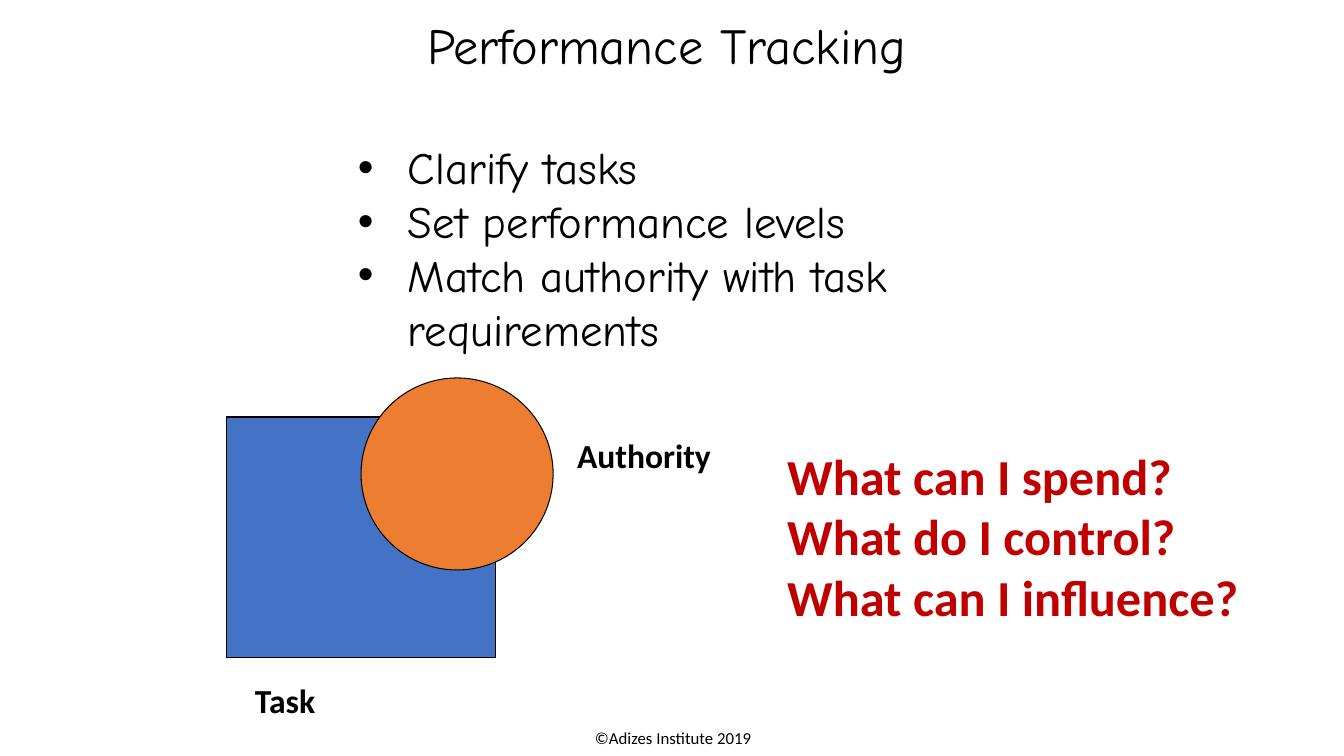
from lxml import etree
from pptx import Presentation, util as u
from pptx.dml.color import RGBColor
from pptx.enum import shapes, text
from pptx.oxml import ns

COLORS = {"black": "000000", "task": "4472C4", "authority": "ED7D31", "question": "C00000"}
PX = 914400 / 100.8
HANGING = 50

TITLE = (["Performance Tracking"], (417, 9, 544, 71))
STEPS = (["Clarify tasks", "Set performance levels",
          "Match authority with task requirements"], (348, 135, 786, 228))
QUESTIONS = (["What can I spend?", "What do I control?",
              "What can I influence?"], (777, 440, 543, 194))
FOOTER = (["©Adizes Institute 2019"], (449, 724, 448, 30))
LABELS = [(["Task"], (245, 675, 95, 50)), (["Authority"], (567, 430, 171, 50))]
FIGURES = [
    (shapes.MSO_SHAPE.RECTANGLE, (226, 417, 269, 241), "task"),
    (shapes.MSO_SHAPE.OVAL, (361, 378, 192, 192), "authority"),
]


def px(value):
    return u.Emu(round(value * PX))


def color(name):
    return RGBColor.from_string(COLORS[name])


def add_bullet(paragraph):
    properties = paragraph._p.get_or_add_pPr()
    properties.set("marL", str(px(HANGING)))
    properties.set("indent", str(-px(HANGING)))
    etree.SubElement(properties, ns.qn("a:buFont")).set("typeface", "Arial")
    etree.SubElement(properties, ns.qn("a:buChar")).set("char", "•")


def add_text(slide, lines, box, size, font="Calibri", bold=False, fill="black",
             align=text.PP_ALIGN.LEFT, bullet=False, spacing=None):
    frame = slide.shapes.add_textbox(*map(px, box)).text_frame
    frame.word_wrap = True
    for index, line in enumerate(lines):
        paragraph = frame.paragraphs[0] if index == 0 else frame.add_paragraph()
        paragraph.alignment = align
        if spacing:
            paragraph.line_spacing = spacing
        if bullet:
            add_bullet(paragraph)
        run = paragraph.add_run()
        run.text = line
        run.font.name = font
        run.font.size = u.Pt(size)
        run.font.bold = bold
        run.font.color.rgb = color(fill)
    return frame


def add_figure(slide, kind, box, fill):
    shape = slide.shapes.add_shape(kind, *map(px, box))
    shape.shadow.inherit = False
    shape.fill.solid()
    shape.fill.fore_color.rgb = color(fill)
    shape.line.color.rgb = color("black")
    shape.line.width = u.Pt(0.75)


def main():
    presentation = Presentation()
    presentation.slide_width = u.Inches(13.33)
    presentation.slide_height = u.Inches(7.5)
    slide = presentation.slides.add_slide(presentation.slide_layouts[6])

    footer = add_text(slide, *FOOTER, size=12, align=text.PP_ALIGN.CENTER, spacing=0.93)
    footer.margin_top = px(6)
    for figure in FIGURES:
        add_figure(slide, *figure)
    for label in LABELS:
        add_text(slide, *label, size=24, bold=True)
    add_text(slide, *QUESTIONS, size=36, bold=True, fill="question")
    add_text(slide, *TITLE, size=36, font="Comic Neue")
    add_text(slide, *STEPS, size=32, font="Comic Neue", bullet=True)

    presentation.save("out.pptx")


if __name__ == "__main__":
    main()
